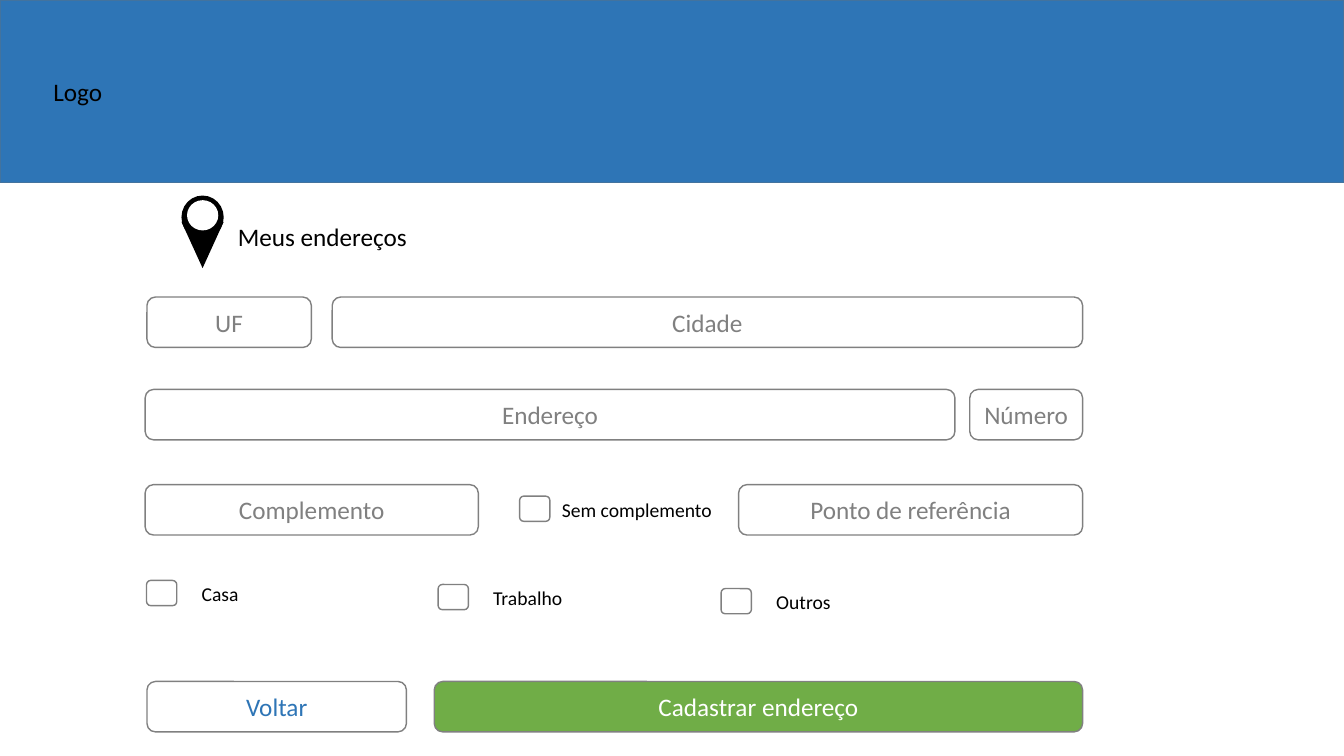
from pptx import Presentation
from pptx import util as u
from pptx.dml.color import RGBColor
from pptx.enum import shapes, text

Pt = u.Pt
KIND = shapes.MSO_SHAPE
BLACK = RGBColor(0x00, 0x00, 0x00)
WHITE = RGBColor(0xFF, 0xFF, 0xFF)
GRAY = RGBColor(0x80, 0x80, 0x80)
BLUE = RGBColor(0x2E, 0x75, 0xB6)
DARK_BLUE = RGBColor(0x43, 0x73, 0x9E)
GREEN = RGBColor(0x70, 0xAD, 0x47)

FORM_LEFT, FORM_RIGHT = 103.7, 773.3
FIELD_HEIGHT = 36


def write(frame, wording, size, color, align):
    line = frame.paragraphs[0]
    line.alignment = align
    run = line.add_run()
    run.text = wording
    run.font.size = Pt(size)
    run.font.name = "Calibri"
    run.font.color.rgb = color


def draw(slide, kind, box, fill, border=None):
    figure = slide.shapes.add_shape(kind, *map(Pt, box))
    figure.shadow.inherit = False
    figure.fill.solid()
    figure.fill.fore_color.rgb = fill
    if border is None:
        figure.line.fill.background()
    else:
        figure.line.color.rgb = border
        figure.line.width = Pt(1)
    return figure


def add_label(slide, box, wording, size):
    frame = slide.shapes.add_textbox(*map(Pt, box)).text_frame
    frame.word_wrap = False
    frame.auto_size = text.MSO_AUTO_SIZE.SHAPE_TO_FIT_TEXT
    write(frame, wording, size, BLACK, text.PP_ALIGN.LEFT)


def add_field(slide, box, wording, color=GRAY, fill=WHITE):
    field = draw(slide, KIND.ROUNDED_RECTANGLE, box, fill, GRAY)
    field.text_frame.word_wrap = True
    field.text_frame.vertical_anchor = text.MSO_ANCHOR.MIDDLE
    write(field.text_frame, wording, 18, color, text.PP_ALIGN.CENTER)


def add_field_pair(slide, left, top, first, second):
    """Two fields: one at the left, one reaching the form's right edge."""
    first_name, first_width = first
    second_name, second_left = second
    add_field(slide, (left, top, first_width, FIELD_HEIGHT), first_name)
    add_field(slide, (second_left, top, FORM_RIGHT - second_left, FIELD_HEIGHT), second_name)


def add_checkbox(slide, left, top, wording, label_width, label_offset=32.2):
    draw(slide, KIND.ROUNDED_RECTANGLE, (left, top, 21.6, 18), WHITE, GRAY)
    add_label(slide, (left + label_offset, top - 2.5, label_width, 24.2), wording, 14)


def add_header(slide, box):
    left, top, _, _ = box
    draw(slide, KIND.RECTANGLE, box, BLUE, DARK_BLUE)
    add_label(slide, (left + 31, top + 50.7, 49.7, 29), "Logo", 18)


def add_heading(slide, box):
    left, top, width, height = box
    # Map pin: tip, head and hole
    tip = draw(slide, KIND.ISOSCELES_TRIANGLE, (left, top + 18.7, 30.2, 33.1), BLACK)
    tip.rotation = 180
    draw(slide, KIND.OVAL, (left, top, 30.2, 31), BLACK)
    draw(slide, KIND.OVAL, (left + 4, top + 3.3, 22.3, 21.6), WHITE)
    # Page title
    title = slide.shapes.title
    title.left, title.top = Pt(left + 33.1), Pt(top + 14.6)
    title.width, title.height = Pt(width - 33.1), Pt(height - 22.8)
    frame = title.text_frame
    frame.word_wrap = False
    frame.auto_size = text.MSO_AUTO_SIZE.NONE
    frame.vertical_anchor = text.MSO_ANCHOR.TOP
    write(frame, "Meus endereços", 18, BLACK, text.PP_ALIGN.LEFT)


def add_address_form(slide, box):
    left, top = box
    add_field_pair(slide, left + 1.3, top, ("UF", 117.4), ("Cidade", 237.3))
    add_field_pair(slide, left, top + 66, ("Endereço", 578.4), ("Número", 692.7))
    add_field_pair(slide, left, top + 134, ("Complemento", 238), ("Ponto de referência", 527.6))
    add_checkbox(slide, left + 267.5, top + 142.2, "Sem complemento", 122.4, 23)
    # Kind of address
    add_checkbox(slide, left + 1, top + 202.4, "Casa", 41)
    add_checkbox(slide, left + 209.3, top + 205.3, "Trabalho", 64.8)
    add_checkbox(slide, left + 411.4, top + 208.2, "Outros", 54)


def add_buttons(slide, box):
    left, top, width, height = box
    back_width, gap = 185.3, 19.9
    save_left = left + back_width + gap
    add_field(slide, (left, top, back_width, height), "Voltar", BLUE)
    add_field(slide, (save_left, top, left + width - save_left, height),
              "Cadastrar endereço", WHITE, GREEN)


def main():
    deck = Presentation()
    deck.slide_width, deck.slide_height = Pt(960), Pt(540)
    slide = deck.slides.add_slide(deck.slide_layouts[5])
    add_header(slide, (0, 0, 960, 130.4))
    add_heading(slide, (129.6, 139.7, 169.9, 51.8))
    add_address_form(slide, (FORM_LEFT, 212.2))
    add_buttons(slide, (105, 486.8, FORM_RIGHT - 105, FIELD_HEIGHT))
    deck.save("out.pptx")


if __name__ == "__main__":
    main()
